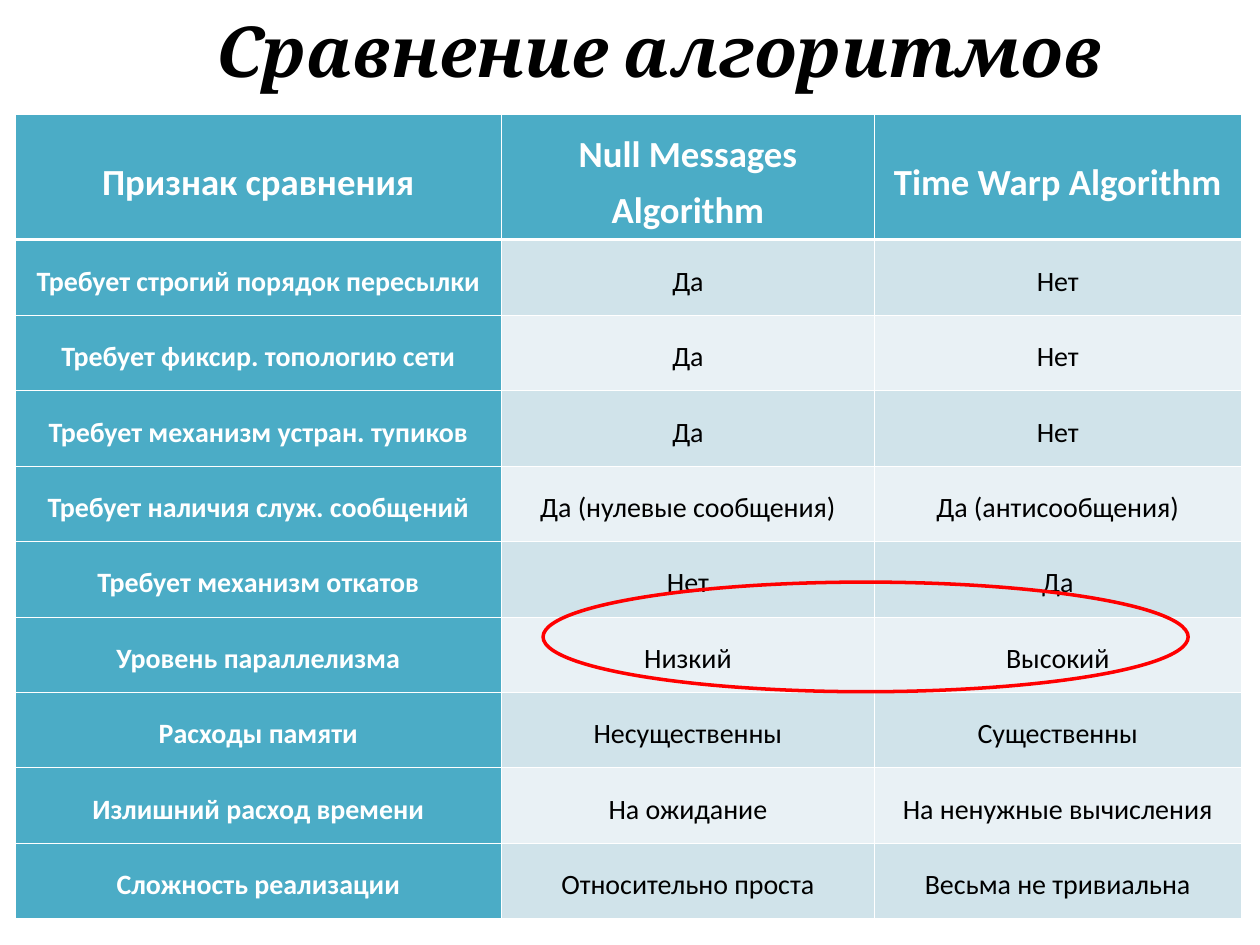
from lxml import etree
from pptx import Presentation
from pptx.dml.color import RGBColor
from pptx.enum.shapes import MSO_SHAPE
from pptx.enum.text import MSO_ANCHOR, MSO_AUTO_SIZE, PP_ALIGN
from pptx.oxml.ns import qn
from pptx.util import Inches, Pt

OVAL = MSO_SHAPE.OVAL
MIDDLE = MSO_ANCHOR.MIDDLE
CENTER = PP_ALIGN.CENTER
FIXED = MSO_AUTO_SIZE.NONE

WHITE = RGBColor(0xFF, 0xFF, 0xFF)
BLACK = RGBColor(0x00, 0x00, 0x00)
TEAL = RGBColor(0x4B, 0xAC, 0xC6)
BANDS = RGBColor(0xE9, 0xF1, 0xF5), RGBColor(0xD0, 0xE3, 0xEA)
RED = RGBColor(0xFF, 0x00, 0x00)

WIDTH, HEIGHT = Inches(10), Inches(7.5)
THIN, THICK = Pt(0.45), Pt(1.47)
COLS = 39.67, 30.42, 29.91
HEAD = 13.88
ROWS = (
    ("Признак сравнения", "Null Messages Algorithm", "Time Warp Algorithm"),
    ("Требует строгий порядок пересылки", "Да", "Нет"),
    ("Требует фиксир. топологию сети", "Да", "Нет"),
    ("Требует механизм устран. тупиков", "Да", "Нет"),
    ("Требует наличия служ. сообщений", "Да (нулевые сообщения)", "Да (антисообщения)"),
    ("Требует механизм откатов", "Нет", "Да"),
    ("Уровень параллелизма", "Низкий", "Высокий"),
    ("Расходы памяти", "Несущественны", "Существенны"),
    ("Излишний расход времени", "На ожидание", "На ненужные вычисления"),
    ("Сложность реализации", "Относительно проста", "Весьма не тривиальна"),
)


def share(part, whole):
    """Return a percentage of a length."""
    return round(whole * part / 100)


def area(left, top, width, height):
    """Turn percentages of the slide into a box."""
    return (share(left, WIDTH), share(top, HEIGHT),
            share(width, WIDTH), share(height, HEIGHT))


def set_font(par, name, size, color, bold):
    """Centre a paragraph and set its font."""
    par.alignment = CENTER
    font = par.font
    font.name, font.size, font.bold = name, Pt(size), bold
    font.color.rgb = color


def add_title(slide, box):
    """Fill the title placeholder and fit it to the box."""
    title = slide.shapes.title
    title.left, title.top, title.width, title.height = box
    frame = title.text_frame
    frame.text = "Сравнение алгоритмов"
    frame.vertical_anchor = MIDDLE
    frame.auto_size = FIXED
    par = frame.paragraphs[0]
    set_font(par, "Cambria", 40, BLACK, True)
    par.font.italic = True


def add_edges(cell, row):
    """Draw white cell borders, thick under the header row."""
    widths = {"a:lnL": THIN, "a:lnR": THIN,
              "a:lnT": THICK if row == 1 else THIN,
              "a:lnB": THICK if row == 0 else THIN}
    props = cell._tc.get_or_add_tcPr()
    for spot, (tag, width) in enumerate(widths.items()):
        line = etree.Element(qn(tag), w=str(width))
        fill = etree.SubElement(line, qn("a:solidFill"))
        etree.SubElement(fill, qn("a:srgbClr"), val=str(WHITE))
        props.insert(spot, line)


def fill_cell(cell, text, row, col):
    """Write and format one cell by its place in the table."""
    label = row == 0 or col == 0
    cell.fill.solid()
    cell.fill.fore_color.rgb = TEAL if label else BANDS[row % 2]
    cell.vertical_anchor = MIDDLE
    cell.margin_left = cell.margin_right = Inches(0.06)
    cell.margin_top = cell.margin_bottom = Inches(0.05)
    cell.text = text
    par = cell.text_frame.paragraphs[0]
    par.line_spacing = 1.25
    par.space_after = Pt(3)
    set_font(par, "Calibri", 16 if row else 21, WHITE if label else BLACK, label)
    add_edges(cell, row)


def add_grid(slide, box):
    """Place the comparison table in the box."""
    table = slide.shapes.add_table(len(ROWS), len(COLS), *box).table
    for col, part in zip(table.columns, COLS):
        col.width = share(part, box[2])
    body = (100 - HEAD) / (len(ROWS) - 1)
    for r, texts in enumerate(ROWS):
        table.rows[r].height = share(body if r else HEAD, box[3])
        for c, text in enumerate(texts):
            fill_cell(table.cell(r, c), text, r, c)


def add_ring(slide, box):
    """Draw a red ring around the box."""
    ring = slide.shapes.add_shape(OVAL, *box)
    ring.shadow.inherit = False
    ring.fill.background()
    ring.line.color.rgb = RED
    ring.line.width = Pt(2)


def main():
    """Build and save the slide."""
    deck = Presentation()
    deck.slide_width, deck.slide_height = WIDTH, HEIGHT
    slide = deck.slides.add_slide(deck.slide_layouts[5])
    add_title(slide, area(7.5, 0, 89.7, 10.53))
    add_grid(slide, area(1.2, 12.13, 97.3, 83.47))
    add_ring(slide, area(43.1, 61.6, 51.2, 11.6))
    deck.save("out.pptx")


if __name__ == "__main__":
    main()
